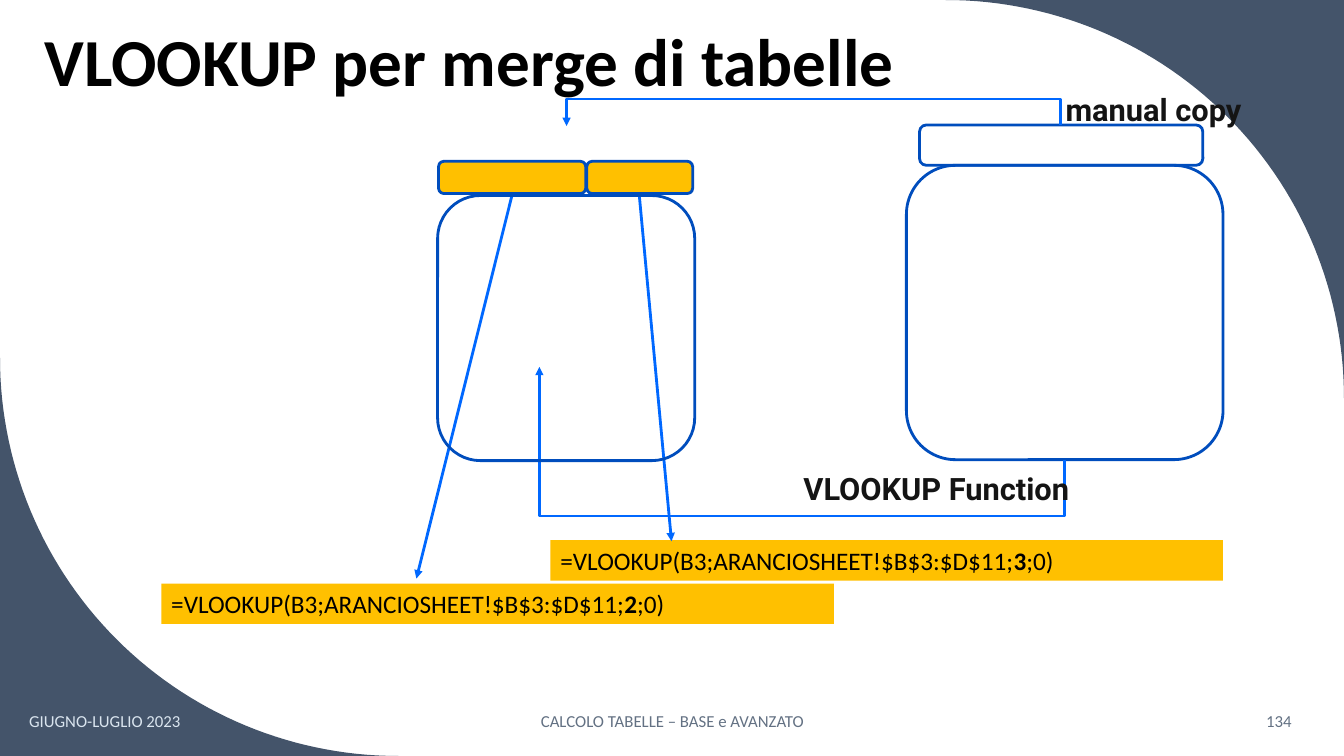
from math import cos, pi, sin

from lxml import etree
from pptx import Presentation
from pptx.dml.color import RGBColor
from pptx.enum.shapes import MSO_CONNECTOR as Connector, MSO_SHAPE as Preset
from pptx.enum.text import MSO_ANCHOR as Anchor, PP_ALIGN as Align
from pptx.oxml.ns import qn
from pptx.util import Inches, Pt

SLATE, AMBER, NAVY, BLUE = "44546A", "FFC000", "004DBD", "0068FF"
BLACK, INK, PALE, GREY = "000000", "141414", "DAE5EF", "637183"
WIDTH, HEIGHT = 13.33, 7.5
CORNER_RADIUS = 3.95


def color(hex_text):
    return RGBColor.from_string(hex_text)


def set_font(font, hex_text, **values):
    font.color.rgb = color(hex_text)
    for name, value in values.items():
        setattr(font, name, value)


def write(frame, spans, hex_text, size, face="Calibri", align=Align.LEFT, anchor=Anchor.TOP):
    """Fill a text frame with one paragraph of (text, bold) spans."""
    frame.word_wrap = True
    frame.vertical_anchor = anchor
    para = frame.paragraphs[0]
    para.alignment = align
    for text, bold in spans:
        span = para.add_run()
        span.text = text
        set_font(span.font, hex_text, name=face, size=Pt(size), bold=bold)
    return para


def style_shape(shape, fill=None, line=None):
    shape.shadow.inherit = False
    if fill:
        shape.fill.solid()
        shape.fill.fore_color.rgb = color(fill)
    else:
        shape.fill.background()
    if line:
        shape.line.color.rgb = color(line)
        shape.line.width = Pt(2)
    else:
        shape.line.fill.background()


def add_corner(page, center_x, center_y, direction):
    """Fill the area between a quarter circle and a slide corner; direction is 1 or -1."""
    steps = 60
    angles = [pi / 2 * step / steps for step in range(steps + 1)]
    reach = direction * CORNER_RADIUS
    points = [(Inches(center_x + reach * sin(angle)), Inches(center_y - reach * cos(angle)))
              for angle in angles]
    points.append((Inches(center_x + reach), Inches(center_y - reach)))
    builder = page.shapes.build_freeform(*points[0])
    builder.add_line_segments(points[1:], close=True)
    style_shape(builder.convert_to_shape(), SLATE)


def add_label(page, box, text, hex_text, size, bold=False, **layout):
    label = page.shapes.add_textbox(*map(Inches, box))
    write(label.text_frame, [(text, bold)], hex_text, size, **layout)


def add_rounded(page, box, fill=None):
    shape = page.shapes.add_shape(Preset.ROUNDED_RECTANGLE, *map(Inches, box))
    style_shape(shape, fill, NAVY)


def add_formula(page, left, top, column):
    bar = page.shapes.add_shape(Preset.RECTANGLE, *map(Inches, (left, top, 6.67, 0.4)))
    style_shape(bar, AMBER)
    spans = [("=VLOOKUP(B3;ARANCIOSHEET!$B$3:$D$11;", False), (column, True), (";0)", False)]
    write(bar.text_frame, spans, BLACK, 18)


def add_arrow(page, kind, start, end, width):
    arrow = page.shapes.add_connector(kind, *map(Inches, start + end))
    arrow.line.color.rgb = color(BLUE)
    arrow.line.width = Pt(width)
    etree.SubElement(arrow.line._get_or_add_ln(), qn("a:tailEnd"), type="triangle")
    etree.SubElement(arrow._element.spPr, qn("a:effectLst"))
    return arrow


def add_detour(page, start, end, depth):
    """Draw a U-shaped arrow to the left that first moves away from its end by depth."""
    (start_x, start_y), (end_x, end_y) = start, end
    span, rise = abs(start_x - end_x), abs(start_y - end_y)
    left = (start_x + end_x - rise) / 2
    top = (start_y + end_y - span) / 2
    arrow = add_arrow(page, Connector.ELBOW, (left, top), (left + rise, top + span), 1.75)
    frame = arrow._element.spPr.find(qn("a:xfrm"))
    frame.set("flipH", "1")
    if start_y > end_y:
        frame.set("rot", str(90 * 60000))
    else:
        frame.set("rot", str(270 * 60000))
        frame.set("flipV", "1")
    guides = arrow._element.spPr.find(qn("a:prstGeom")).get_or_add_avLst()
    ratio = round(-depth / rise * 100000)
    etree.SubElement(guides, qn("a:gd"), name="adj1", fmla=f"val {ratio}")


def add_title(page, text):
    title = page.shapes.title
    page.shapes._spTree.append(title._element)
    box = dict(left=0.34, top=-0.4, width=11.14, height=1.45)
    for name, value in box.items():
        setattr(title, name, Inches(value))
    para = write(title.text_frame, [(text, True)], BLACK, 48, anchor=Anchor.BOTTOM)
    para.line_spacing = 0.9


def main():
    deck = Presentation()
    deck.slide_width, deck.slide_height = Inches(WIDTH), Inches(HEIGHT)
    page = deck.slides.add_slide(deck.slide_layouts[5])

    add_corner(page, WIDTH - CORNER_RADIUS, CORNER_RADIUS, 1)
    add_corner(page, CORNER_RADIUS, HEIGHT - CORNER_RADIUS, -1)
    add_title(page, "VLOOKUP per merge di tabelle")

    footers = [
        (0.19, 1.86, "GIUGNO-LUGLIO 2023", PALE, Align.LEFT),
        (4.42, 4.5, "CALCOLO TABELLE – BASE e AVANZATO", GREY, Align.CENTER),
        (11.1, 1.81, "134", GREY, Align.RIGHT),
    ]
    for left, width, text, hex_text, align in footers:
        add_label(page, (left, 6.95, width, 0.4), text, hex_text, 12,
                  align=align, anchor=Anchor.MIDDLE)

    # Source table, with its header copied and its values looked up
    add_rounded(page, (9.12, 1.24, 2.81, 0.4))
    add_detour(page, (10.52, 1.24), (5.62, 1.25), 0.26)
    add_label(page, (10.47, 0.85, 1.98, 0.47), "manual copy", INK, 22, True, face="Roboto")
    add_rounded(page, (8.99, 1.64, 3.14, 2.92))
    add_detour(page, (10.56, 4.56), (5.35, 3.64), 0.56)
    add_label(page, (7.87, 4.61, 2.99, 0.47), "VLOOKUP Function", INK, 22, True, face="Roboto")

    # Target table: each header cell points to its formula
    columns = [
        ((1.6, 5.79), "2", (4.35, 1.6, 1.46, 0.32), (5.08, 1.93), (4.13, 5.74)),
        ((5.46, 5.36), "3", (5.82, 1.6, 1.05, 0.32), (6.34, 1.93), (6.66, 5.37)),
    ]
    for corner, column, header, start, end in columns:
        add_formula(page, *corner, column)
        add_rounded(page, header, AMBER)
        add_arrow(page, Connector.STRAIGHT, start, end, 2)
    add_rounded(page, (4.34, 1.94, 2.55, 2.63))

    deck.save("out.pptx")


if __name__ == "__main__":
    main()
